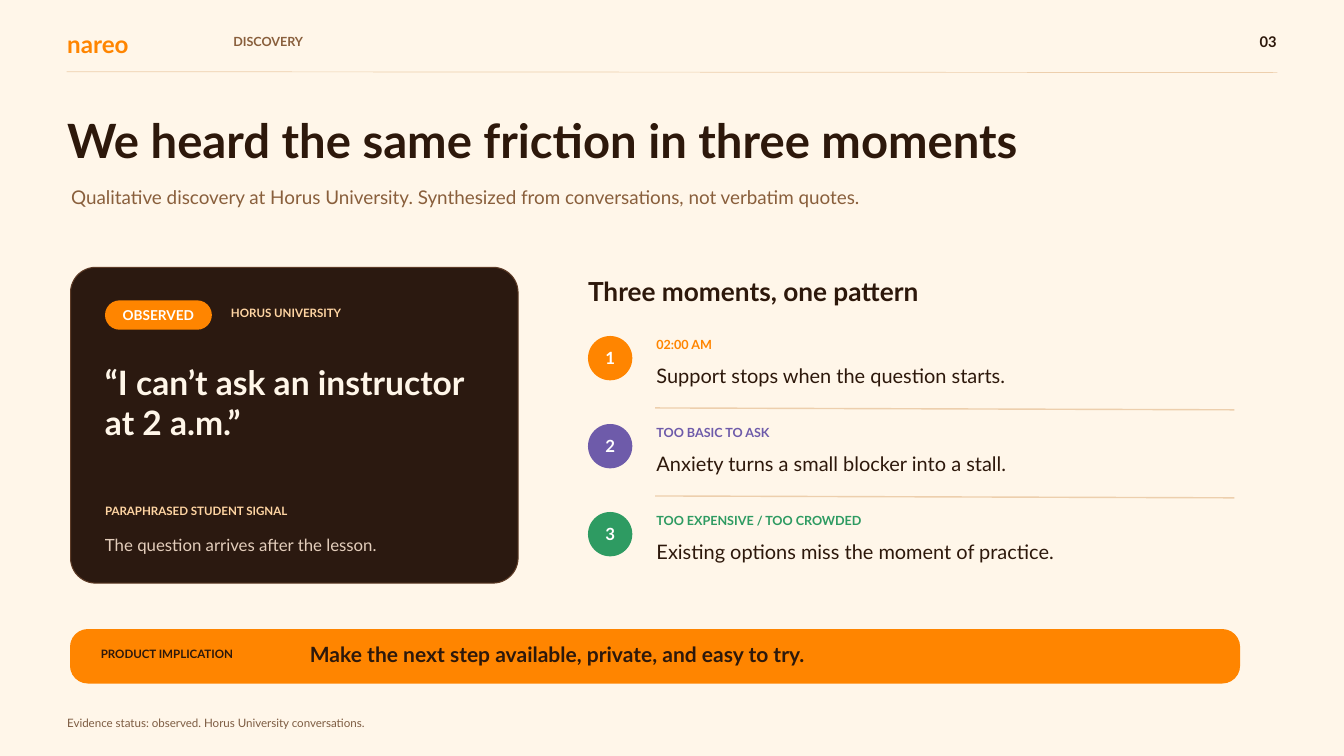
from lxml import etree
from pptx import Presentation
from pptx.dml.color import RGBColor
from pptx.enum.shapes import MSO_CONNECTOR as Connector, MSO_SHAPE as Shape
from pptx.enum.text import MSO_ANCHOR as Anchor, MSO_AUTO_SIZE as AutoSize, PP_ALIGN as Align
from pptx.oxml.ns import qn
from pptx.util import Pt

CREAM = RGBColor(0xFF, 0xF6, 0xE9)
ORANGE = RGBColor(0xFF, 0x85, 0x00)
PURPLE = RGBColor(0x6E, 0x5B, 0xAA)
GREEN = RGBColor(0x2E, 0x9B, 0x62)
WHITE = RGBColor(0xFF, 0xFF, 0xFF)
INK = RGBColor(0x2D, 0x18, 0x0B)
BROWN = RGBColor(0x89, 0x5F, 0x3C)
FOOTER_BROWN = RGBColor(0x7D, 0x5C, 0x42)
CARD_FILL = RGBColor(0x2B, 0x19, 0x10)
CARD_EDGE = RGBColor(0x5D, 0x3B, 0x27)
PEACH = RGBColor(0xFF, 0xD5, 0xA3)
SAND = RGBColor(0xE3, 0xCD, 0xBB)
RULE = RGBColor(0xED, 0xCF, 0xAD)

MOMENTS = [
    ("02:00 AM", "Support stops when the question starts.", ORANGE),
    ("TOO BASIC TO ASK", "Anxiety turns a small blocker into a stall.", PURPLE),
    ("TOO EXPENSIVE / TOO CROWDED", "Existing options miss the moment of practice.", GREEN),
]
MOMENT_TOP, MOMENT_PITCH = 360, 94.3


def write(frame, text, size, color, bold=False, align=Align.LEFT, anchor=Anchor.TOP, margin=0):
    frame.word_wrap = True
    frame.vertical_anchor = anchor
    frame.margin_left = frame.margin_right = Pt(margin)
    frame.margin_top = frame.margin_bottom = Pt(margin)
    paragraph = frame.paragraphs[0]
    paragraph.alignment = align
    paragraph.line_spacing = Pt(round(size * 1.2, 1))
    run = paragraph.add_run()
    run.text = text
    run.font.name = "Lato"
    run.font.size = Pt(size)
    run.font.bold = bold
    run.font.color.rgb = color


def add_text(slide, box, text, size, color, **text_format):
    frame = slide.shapes.add_textbox(*map(Pt, box)).text_frame
    write(frame, text, size, color, **text_format)
    frame.auto_size = AutoSize.SHAPE_TO_FIT_TEXT


def add_panel(slide, kind, box, fill, edge=None, radius=None):
    shape = slide.shapes.add_shape(kind, *map(Pt, box))
    shape.shadow.inherit = False
    shape.fill.solid()
    shape.fill.fore_color.rgb = fill
    if edge is None:
        shape.line.fill.background()
    else:
        shape.line.color.rgb = edge
        shape.line.width = Pt(1.13)
    if radius is not None:
        shape.adjustments[0] = radius / min(box[2:])
    return shape


def add_badge(slide, kind, box, fill, text, size, radius=None):
    badge = add_panel(slide, kind, box, fill, radius=radius)
    write(badge.text_frame, text, size, WHITE, bold=True,
          align=Align.CENTER, anchor=Anchor.MIDDLE, margin=4.3)


def add_rule(slide, start, end, width):
    rule = slide.shapes.add_connector(Connector.STRAIGHT, *map(Pt, start + end))
    rule.line.color.rgb = RULE
    rule.line.width = Pt(width)
    etree.SubElement(rule.element.spPr, qn("a:effectLst"))


def add_header(slide):
    add_text(slide, (72, 31, 146, 37), "nareo", 25.9, ORANGE, bold=True)
    add_text(slide, (250, 36.7, 472, 25), "DISCOVERY", 13.5, BROWN, bold=True)
    add_text(slide, (1328, 34.6, 40, 27), "03", 15.8, INK, bold=True, align=Align.RIGHT)
    add_rule(slide, (71.3, 76.8), (1368.7, 77.8), 0.75)
    add_text(slide, (72, 118.8, 1248.5, 68.4),
             "We heard the same friction in three moments", 50.6, INK, bold=True)
    add_text(slide, (76.3, 199.4, 1068.5, 34.6),
             "Qualitative discovery at Horus University. "
             "Synthesized from conversations, not verbatim quotes.", 20.2, BROWN)


def add_quote_card(slide):
    left = 112.5
    add_panel(slide, Shape.ROUNDED_RECTANGLE, (75.6, 286.4, 479.5, 338.4),
              CARD_FILL, edge=CARD_EDGE, radius=27)
    add_badge(slide, Shape.ROUNDED_RECTANGLE, (left, 321.8, 114.5, 31.5),
              ORANGE, "OBSERVED", 14.6, radius=15.75)
    add_text(slide, (247.5, 327.6, 247.5, 20), "HORUS UNIVERSITY", 12.4, PEACH, bold=True)
    add_text(slide, (left, 387.4, 388, 113),
             "“I can’t ask an instructor at 2 a.m.”", 36, CREAM, bold=True)
    add_text(slide, (left, 540, 292.5, 20), "PARAPHRASED STUDENT SIGNAL", 12.4, PEACH, bold=True)
    add_text(slide, (left, 573.1, 337.5, 28), "The question arrives after the lesson.", 18, SAND)


def add_moments(slide):
    add_text(slide, (630, 295.2, 630, 36.7), "Three moments, one pattern", 28.1, INK, bold=True)
    for index, (label, finding, color) in enumerate(MOMENTS):
        top = MOMENT_TOP + index * MOMENT_PITCH
        if index:
            rule_top = top - 17.2
            add_rule(slide, (702, rule_top), (1322.6, rule_top + 2), 1.5)
        add_badge(slide, Shape.OVAL, (630, top, 47.5, 47.5), color, str(index + 1), 18)
        add_text(slide, (703.4, top + 0.7, 562.5, 21), label, 13.5, color, bold=True)
        add_text(slide, (703.4, top + 29.5, 607.5, 33.8), finding, 21.4, INK)


def add_implication(slide):
    add_panel(slide, Shape.ROUNDED_RECTANGLE, (75.6, 674.6, 1252.5, 57.2),
              ORANGE, edge=ORANGE, radius=18.5)
    add_text(slide, (108, 692.6, 191.5, 20), "PRODUCT IMPLICATION", 12.4, INK, bold=True)
    add_text(slide, (332, 687.6, 934, 32.4),
             "Make the next step available, private, and easy to try.", 22.5, INK, bold=True)


def main():
    presentation = Presentation()
    presentation.slide_width, presentation.slide_height = Pt(1440), Pt(810)
    slide = presentation.slides.add_slide(presentation.slide_layouts[6])
    slide.background.fill.solid()
    slide.background.fill.fore_color.rgb = CREAM

    add_header(slide)
    add_quote_card(slide)
    add_moments(slide)
    add_implication(slide)
    # Footer
    add_text(slide, (72, 767.5, 1035, 20),
             "Evidence status: observed. Horus University conversations.", 12.4, FOOTER_BROWN)

    presentation.save("out.pptx")


if __name__ == "__main__":
    main()
